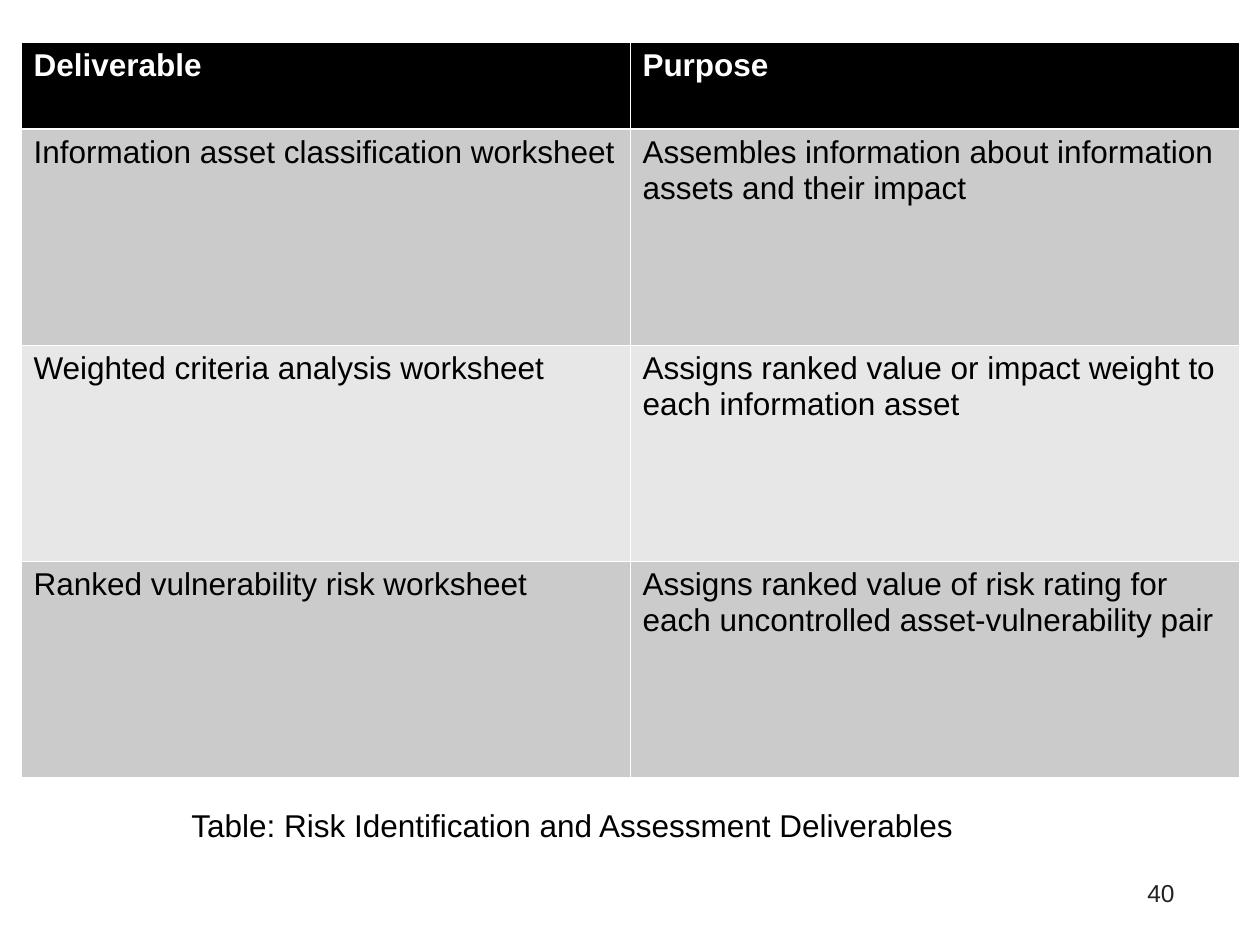
"""Build the slide with the table of risk identification deliverables."""
from lxml import etree
from pptx import Presentation
from pptx import util as u
from pptx.dml.color import RGBColor
from pptx.enum import text
from pptx.oxml.ns import qn

PX = 914400 / 126
COLORS = {"black": "000000", "white": "FFFFFF", "number": "222222",
          "dark_band": "CBCBCB", "light_band": "E7E7E7"}
ROWS = [
    ("Deliverable", "Purpose"),
    ("Information asset classification worksheet",
     "Assembles information about information assets and their impact"),
    ("Weighted criteria analysis worksheet",
     "Assigns ranked value or impact weight to each information asset"),
    ("Ranked vulnerability risk worksheet",
     "Assigns ranked value of risk rating for each uncontrolled asset-vulnerability pair"),
]
FILLS = ["black", "dark_band", "light_band", "dark_band"]
HEIGHTS = [87, 216, 216, 216]


def px(*values):
    return [u.Emu(round(v * PX)) for v in values]


def write(tf, words, size, color, bold=False):
    tf.text = words
    font = tf.paragraphs[0].runs[0].font
    font.name, font.size, font.bold = "Arial", u.Pt(size), bold
    font.color.rgb = RGBColor.from_string(COLORS[color])


prs = Presentation()
prs.slide_width, prs.slide_height = px(1260, 945)
s = prs.slides.add_slide(prs.slide_layouts[6])

for box, words, size, color, align in [
    ((903, 872, 284, 53), "40", 14, "number", text.PP_ALIGN.RIGHT),
    ((179, 800, 861, 50), "Table: Risk Identification and Assessment Deliverables",
     18, "black", text.PP_ALIGN.LEFT),
]:
    tf = s.shapes.add_textbox(*px(*box)).text_frame
    tf.word_wrap = True
    write(tf, words, size, color)
    tf.paragraphs[0].alignment = align

table = s.shapes.add_table(len(ROWS), 2, *px(21, 42, 1218, sum(HEIGHTS))).table
for column in table.columns:
    column.width = px(609)[0]

for i, (row, fill, height) in enumerate(zip(ROWS, FILLS, HEIGHTS)):
    table.rows[i].height = px(height)[0]
    for j, words in enumerate(row):
        cell = table.cell(i, j)
        write(cell.text_frame, words, 18, "black" if i else "white", bold=i == 0)
        tcPr = cell._tc.get_or_add_tcPr()
        for side in "LRTB":
            under_header = (i, side) in [(0, "B"), (1, "T")]
            ln = etree.SubElement(tcPr, qn(f"a:ln{side}"),
                                  w=str(u.Pt(1.5 if under_header else 0.5)))
            solid = etree.SubElement(ln, qn("a:solidFill"))
            etree.SubElement(solid, qn("a:srgbClr"), val=COLORS["white"])
        cell.fill.solid()
        cell.fill.fore_color.rgb = RGBColor.from_string(COLORS[fill])

prs.save("out.pptx")
